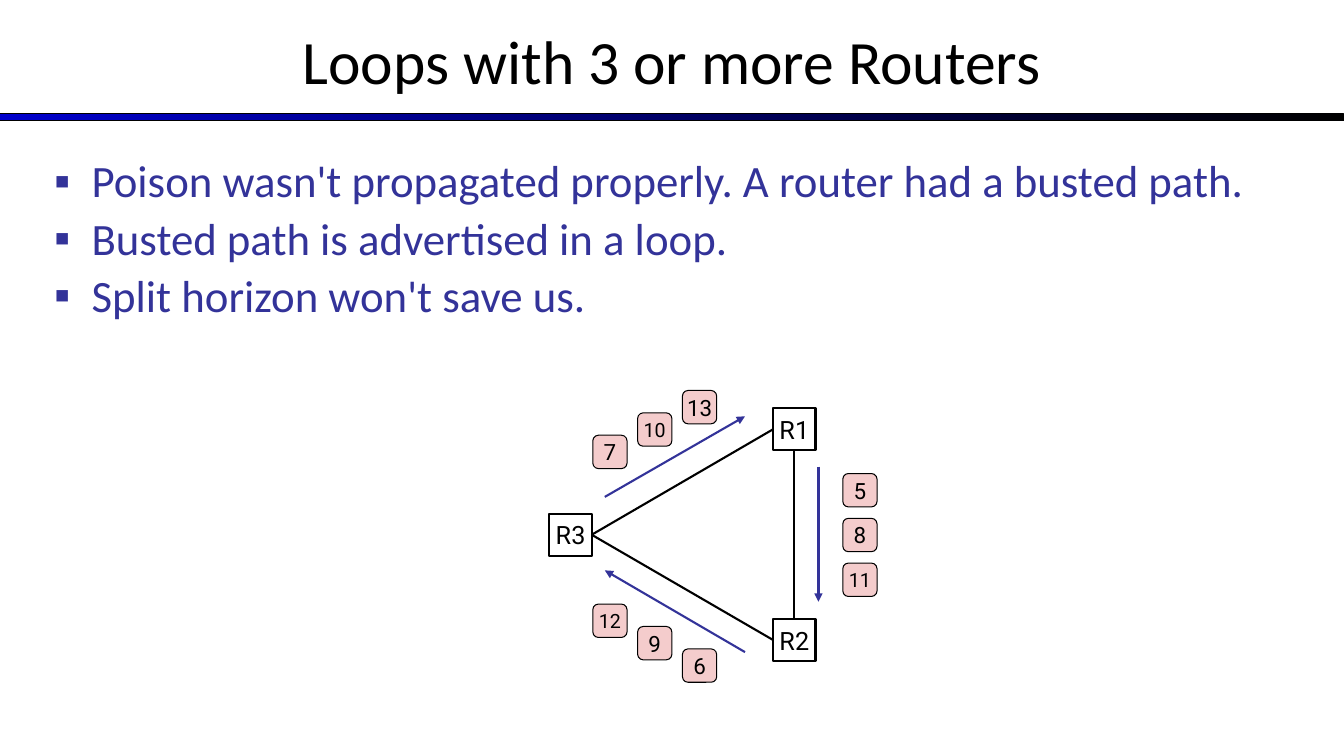
from lxml import etree
from pptx import Presentation, util as u
from pptx.dml.color import RGBColor
from pptx.enum import shapes as kinds, text as layout
from pptx.oxml import ns

TITLE = "Loops with 3 or more Routers"
POINTS = [
    "Poison wasn't propagated properly. A router had a busted path.",
    "Busted path is advertised in a loop.",
    "Split horizon won't save us.",
]
ROUTERS = {"R1": (35.46, 19.17), "R2": (35.46, 28.58), "R3": (25.47, 23.88)}
TOP, LEFT, BOTTOM, RIGHT = range(4)
LINKS = [("R1", BOTTOM, "R2", TOP), ("R1", LEFT, "R3", RIGHT), ("R2", LEFT, "R3", RIGHT)]
ADVERTS = [
    {"arrow": [(36.54, 20.84), (36.54, 26.87)], "first": (38.39, 21.89), "step": (0, 2),
     "costs": [("5", 16), ("8", 16), ("11", 14)]},
    {"arrow": [(33.26, 29.12), (27, 25.47)], "first": (31.23, 29.72), "step": (-2, -1),
     "costs": [("6", 16), ("9", 16), ("12", 14)]},
    {"arrow": [(27, 22.19), (33.26, 18.59)], "first": (27.23, 20.18), "step": (2, -1),
     "costs": [("7", 16), ("10", 14), ("13", 16)]},
]
COLORS = {"ink": "000000", "paper": "FFFFFF", "body": "333399", "bar": "0000CC", "cost": "F4CCCC"}

deck = Presentation()
deck.slide_width, deck.slide_height = u.Inches(13.33), u.Inches(7.5)
slide = deck.slides.add_slide(deck.slide_layouts[6])
CELL = deck.slide_width / 60
ROUTER_SIZE, COST_SIZE = (1.89, 1.89), (1.53, 1.49)


def cells(*values):
    return [round(value * CELL) for value in values]


def color(name):
    return RGBColor.from_string(COLORS[name])


def write(shape, lines, size, font="Calibri", ink="ink", align=layout.PP_ALIGN.CENTER,
          anchor=layout.MSO_ANCHOR.MIDDLE, inset=(0, 0), wrap=False, bullet=None):
    frame = shape.text_frame
    frame.word_wrap = wrap
    frame.vertical_anchor = anchor
    frame.margin_left = frame.margin_right = u.Inches(inset[0])
    frame.margin_top = frame.margin_bottom = u.Inches(inset[1])
    for index, line in enumerate(lines):
        paragraph = frame.add_paragraph() if index else frame.paragraphs[0]
        paragraph.alignment = align
        if bullet:
            paragraph.line_spacing = 0.9
            if index:
                paragraph.space_before = u.Pt(size * 0.2)
            props = paragraph._p.get_or_add_pPr()
            props.set("marL", str(u.Inches(0.37)))
            props.set("indent", str(-u.Inches(0.37)))
            tint = etree.SubElement(props, ns.qn("a:buClr"))
            etree.SubElement(tint, ns.qn("a:srgbClr"), val=COLORS[ink])
            etree.SubElement(props, ns.qn("a:buFont"), typeface=font)
            etree.SubElement(props, ns.qn("a:buChar"), char=bullet)
        run = paragraph.add_run()
        run.text = line
        run.font.name, run.font.size = font, u.Pt(size)
        run.font.color.rgb = color(ink)


def add_node(kind, label, center, extent, fill, line_width, size):
    (x, y), (width, height) = center, extent
    node = slide.shapes.add_shape(kind, *cells(x - width / 2, y - height / 2, width, height))
    node.shadow.inherit = False
    node.fill.solid()
    node.fill.fore_color.rgb = color(fill)
    node.line.color.rgb = color("ink")
    node.line.width = u.Pt(line_width)
    write(node, [label], size, font="Roboto")
    return node


def add_line(start, end, ink, arrow=False):
    line = slide.shapes.add_connector(kinds.MSO_CONNECTOR.STRAIGHT, *cells(*start, *end))
    line.line.color.rgb = color(ink)
    line.line.width = u.Pt(1.5)
    if arrow:
        etree.SubElement(line.line._get_or_add_ln(), ns.qn("a:tailEnd"), type="triangle")
    etree.SubElement(line._element.spPr, ns.qn("a:effectLst"))
    return line


bar = slide.shapes.add_shape(kinds.MSO_SHAPE.RECTANGLE, *cells(0, 5.08, 60, 0.32))
bar.shadow.inherit = False
bar.fill.gradient()
bar.fill.gradient_angle = 0
for stop, name, position in zip(bar.fill.gradient_stops, ("bar", "ink"), (0, 1)):
    stop.color.rgb = color(name)
    stop.position = position
bar.line.color.rgb = color("ink")
bar.line.width = u.Pt(0.75)

heading = slide.shapes.add_textbox(*cells(0, -0.13, 60, 5.63))
write(heading, [TITLE], 44, inset=(0.1, 0.05), wrap=True)
body = slide.shapes.add_textbox(*cells(1.98, 6.89, 55.77, 7.97))
write(body, POINTS, 32, ink="body", align=layout.PP_ALIGN.LEFT, anchor=layout.MSO_ANCHOR.TOP,
      inset=(0.1, 0.05), wrap=True, bullet="▪")

routers = {
    name: add_node(kinds.MSO_SHAPE.RECTANGLE, name, center, ROUTER_SIZE, "paper", 1.5, 18)
    for name, center in ROUTERS.items()
}
for start, start_side, end, end_side in LINKS:
    link = add_line(ROUTERS[start], ROUTERS[end], "ink")
    link.begin_connect(routers[start], start_side)
    link.end_connect(routers[end], end_side)

for advert in ADVERTS:
    add_line(*advert["arrow"], "body", arrow=True)
    (x, y), (dx, dy) = advert["first"], advert["step"]
    for turn, (cost, size) in enumerate(advert["costs"]):
        center = (x + turn * dx, y + turn * dy)
        add_node(kinds.MSO_SHAPE.ROUNDED_RECTANGLE, cost, center, COST_SIZE, "cost", 0.75, size)

deck.save("out.pptx")
